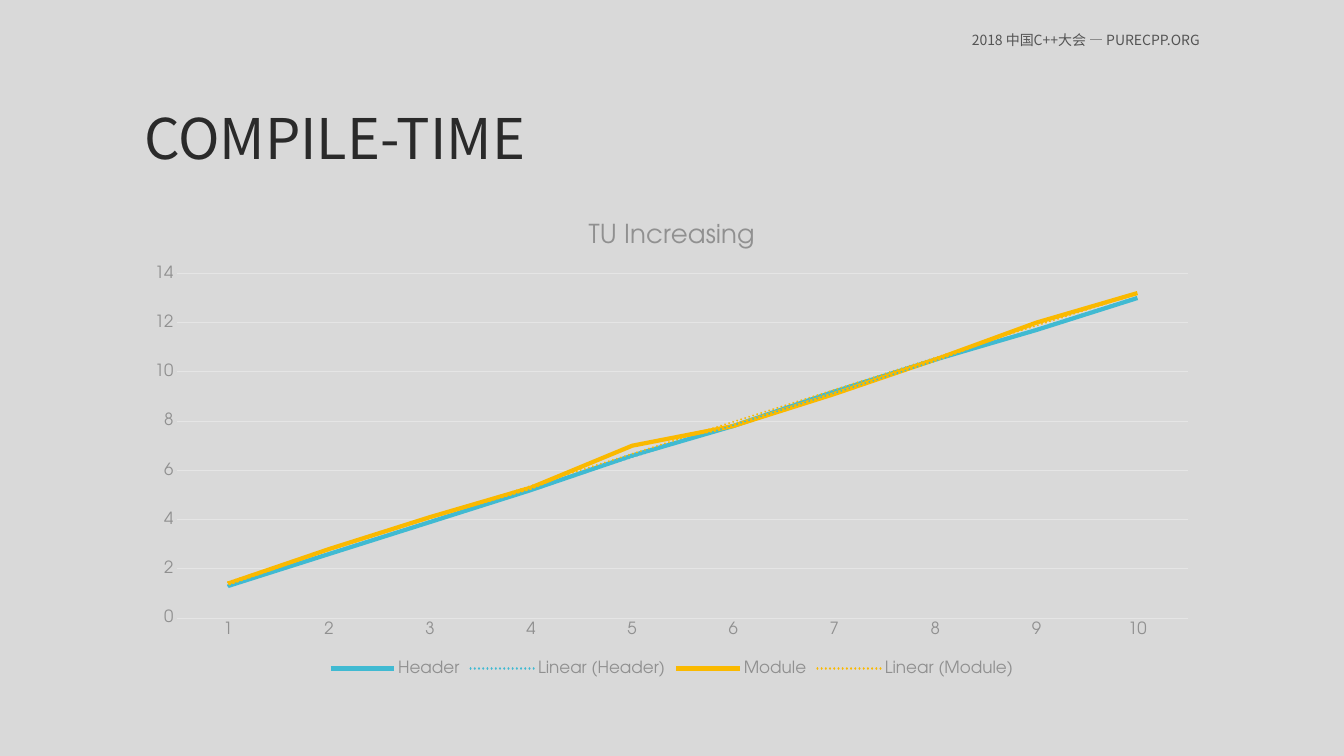
"""Build the compile-time slide with its line chart of header and module builds."""
import pptx
import pptx.chart.data
import pptx.dml.color
import pptx.enum.chart
import pptx.enum.text
import pptx.oxml
import pptx.oxml.ns
import pptx.util

Pt = pptx.util.Pt
RGBColor = pptx.dml.color.RGBColor
ANCHOR = pptx.enum.text.MSO_ANCHOR
ALIGN = pptx.enum.text.PP_ALIGN
CHART = pptx.enum.chart

PAPER = RGBColor(0xD9, 0xD9, 0xD9)
INK = RGBColor(0x2A, 0x2A, 0x2A)
SLATE = RGBColor(0x54, 0x54, 0x54)
GREY = RGBColor(0x90, 0x90, 0x90)
PALE = RGBColor(0xE5, 0xE5, 0xE5)
TEAL = RGBColor(0x40, 0xBA, 0xD2)
GOLD = RGBColor(0xFA, 0xB9, 0x00)
SANS = "Noto Sans CJK SC"
ROUND = "TeX Gyre Adventor"
SPACE = pptx.oxml.ns.nsdecls("c", "a")

deck = pptx.Presentation()
deck.slide_width, deck.slide_height = Pt(960), Pt(540)
slide = deck.slides.add_slide(deck.slide_layouts[6])
slide.background.fill.solid()
slide.background.fill.fore_color.rgb = PAPER


def write(text, *, left, top, width, height, size, color, anchor, align, lines=1.0):
    """Add a one-paragraph text box."""
    frame = slide.shapes.add_textbox(Pt(left), Pt(top), Pt(width), Pt(height)).text_frame
    frame.word_wrap = True
    frame.vertical_anchor = anchor
    para = frame.paragraphs[0]
    para.alignment = align
    para.line_spacing = lines
    run = para.add_run()
    run.text = text
    style(run.font, size, color, SANS)
    east = pptx.oxml.parse_xml(f'<a:ea {SPACE} typeface="{SANS}"/>')
    run.font._element.find(pptx.oxml.ns.qn("a:latin")).addnext(east)


def style(font, size, color, face=ROUND):
    """Set size, colour and face of a font."""
    font.size, font.name, font.bold = Pt(size), face, False
    font.color.rgb = color


write("COMPILE-TIME", left=96, top=21.6, width=768, height=104.4, size=40,
      color=INK, anchor=ANCHOR.BOTTOM, align=ALIGN.LEFT, lines=0.9)

data = pptx.chart.data.CategoryChartData(number_format="General")
data.categories = [str(count) for count in range(1, 11)]
data.add_series("Header", (1.3, 2.6, 3.9, 5.2, 6.6, 7.8, 9.2, 10.5, 11.7, 13))
data.add_series("Module", (1.4, 2.8, 4.1, 5.3, 7, 7.8, 9.1, 10.5, 12, 13.2))
chart = slide.shapes.add_chart(
    CHART.XL_CHART_TYPE.LINE, Pt(96), Pt(144), Pt(768), Pt(342), data).chart
style(chart.font, 10, SLATE)

chart.has_title = True
title = chart.chart_title.text_frame
title.text = "TU Increasing"
style(title.paragraphs[0].runs[0].font, 18.6, GREY)

chart.has_legend = True
chart.legend.position = CHART.XL_LEGEND_POSITION.BOTTOM
chart.legend.include_in_layout = False
style(chart.legend.font, 12, GREY)

for axis in (chart.category_axis, chart.value_axis):
    axis.major_tick_mark = axis.minor_tick_mark = CHART.XL_TICK_MARK.NONE
    style(axis.tick_labels.font, 12, GREY)
level = chart.value_axis
level.minimum_scale, level.maximum_scale, level.major_unit = 0, 14, 2
level.format.line.fill.background()
for line in (chart.category_axis.format.line, level.major_gridlines.format.line):
    line.width = Pt(0.75)
    line.color.rgb = PALE

plot = chart.plots[0]
plot.vary_by_categories = False
for series, color in zip(plot.series, (TEAL, GOLD)):
    series.smooth = False
    series.marker.style = CHART.XL_MARKER_STYLE.NONE
    series.format.line.width = Pt(3)
    series.format.line.color.rgb = color
    trend = pptx.oxml.parse_xml(
        f'<c:trendline {SPACE}><c:name>Linear ({series.name})</c:name>'
        f'<c:spPr><a:ln w="{Pt(1.5)}" cap="rnd"><a:solidFill><a:srgbClr val="{color}"/>'
        '</a:solidFill><a:prstDash val="sysDot"/></a:ln></c:spPr>'
        '<c:trendlineType val="linear"/><c:dispRSqr val="0"/><c:dispEq val="0"/>'
        '</c:trendline>')
    series._element.find(pptx.oxml.ns.qn("c:cat")).addprevious(trend)

area = chart._chartSpace.chart.plotArea
for old in area.findall(pptx.oxml.ns.qn("c:layout")):
    area.remove(old)
area.insert(0, pptx.oxml.parse_xml(
    f'<c:layout {SPACE}><c:manualLayout><c:layoutTarget val="inner"/>'
    '<c:xMode val="edge"/><c:yMode val="edge"/><c:x val="0.04"/><c:y val="0.15"/>'
    '<c:w val="0.94"/><c:h val="0.72"/></c:manualLayout></c:layout>'))

write("2018 中国C++大会 — PURECPP.ORG", left=341.3, top=21.6, width=522.7, height=14.4,
      size=10, color=SLATE, anchor=ANCHOR.MIDDLE, align=ALIGN.RIGHT)

deck.save("out.pptx")
